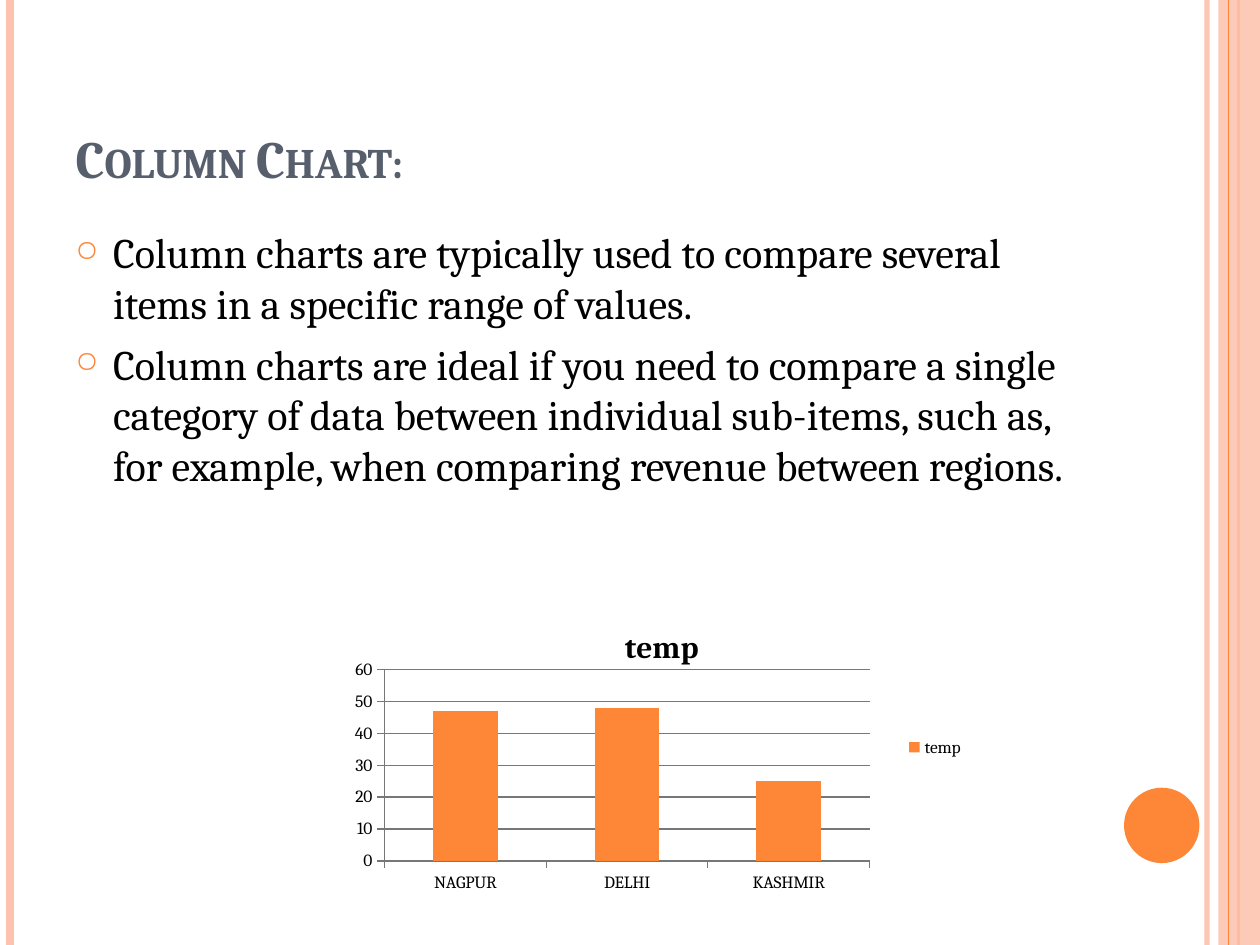
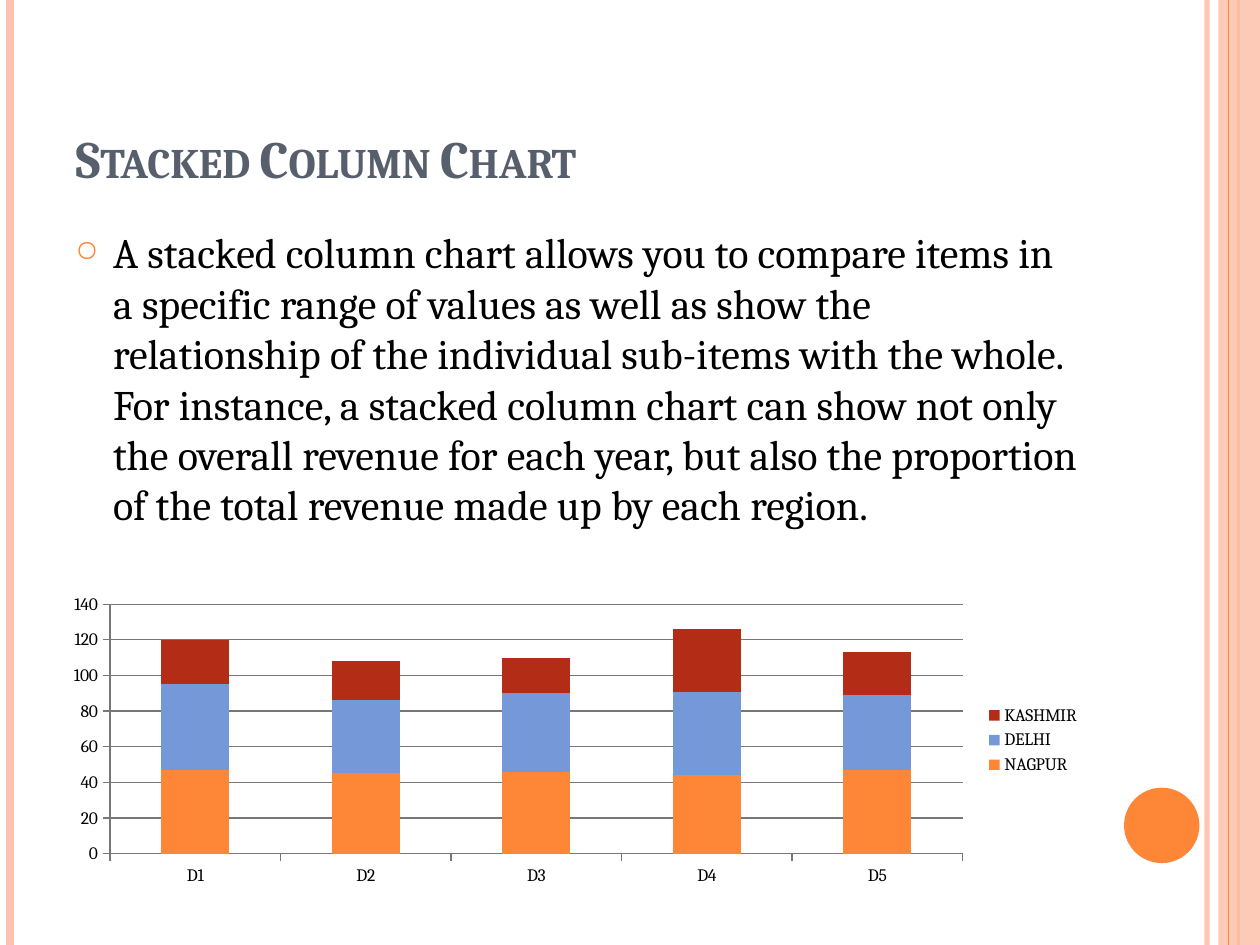
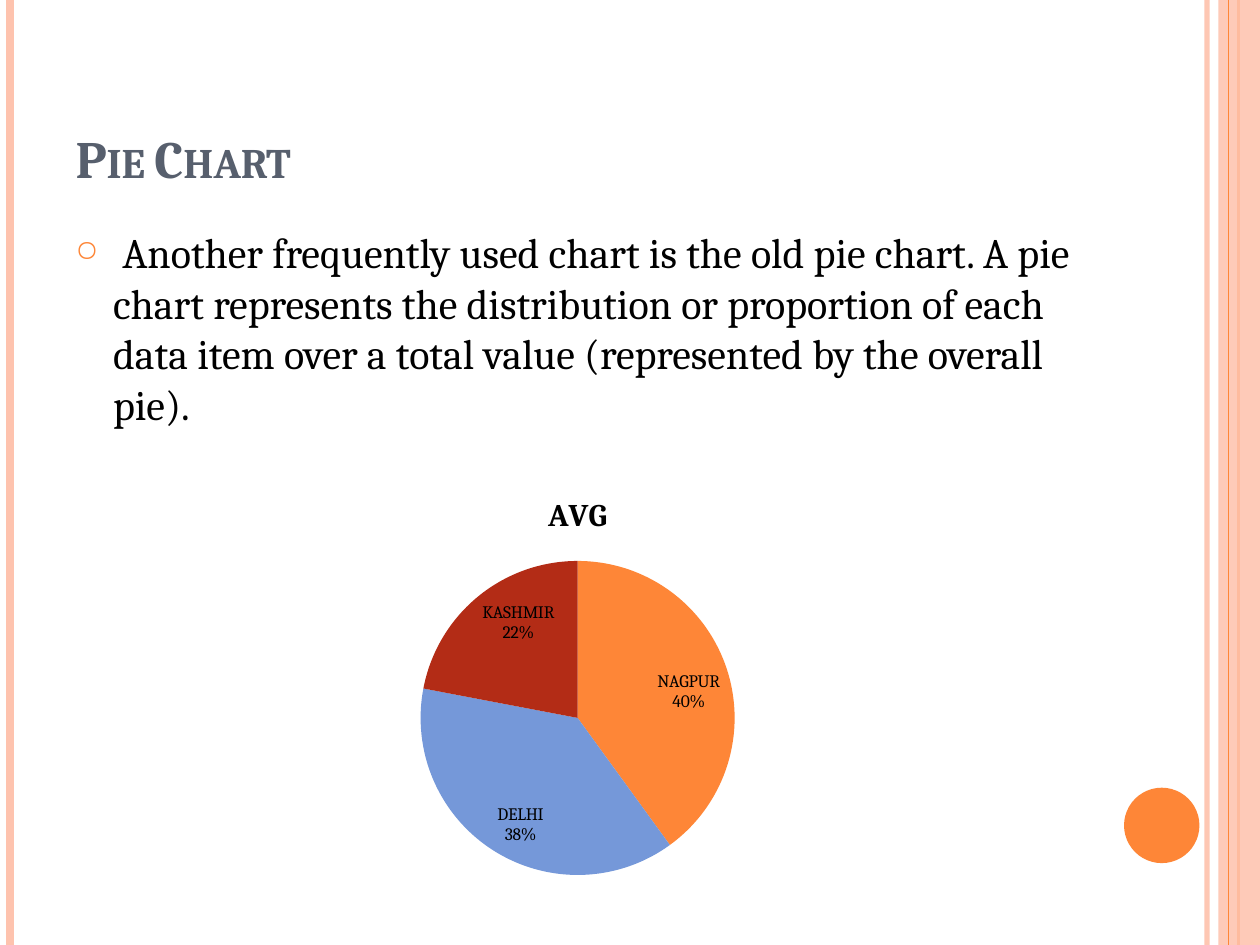
from dataclasses import dataclass
from typing import NamedTuple, Optional

from pptx import Presentation
from pptx.chart.data import CategoryChartData
from pptx.dml.color import RGBColor
from pptx.enum.chart import XL_CHART_TYPE as Kind
from pptx.enum.chart import XL_LABEL_POSITION as LabelPos
from pptx.enum.chart import XL_LEGEND_POSITION as LegendPos
from pptx.enum.chart import XL_TICK_MARK as Tick
from pptx.enum.shapes import MSO_CONNECTOR as Conn
from pptx.enum.shapes import MSO_SHAPE as Geo
from pptx.enum.text import MSO_ANCHOR as Anchor
from pptx.enum.text import MSO_AUTO_SIZE as Fit
from pptx.enum.text import PP_ALIGN as Align
from pptx.oxml.ns import qn
from pptx.oxml.xmlchemy import OxmlElement
from pptx.util import Cm, Pt


@dataclass(frozen=True)
class Theme:
    font: str = "Cambria"
    ink: str = "000000"
    heading: str = "575F6D"
    peach: str = "FEC3AE"
    orange: str = "FE8637"
    blue: str = "7598D9"
    red: str = "B32C16"
    grid: str = "777777"
    title_size: float = 30
    body_size: float = 24
    chart_title_size: float = 18
    chart_size: float = 10

    @property
    def series(self) -> tuple[str, ...]:
        return self.orange, self.blue, self.red


THEME = Theme()
WIDTH, HEIGHT = 25.4, 19.05


class Box(NamedTuple):
    """Left, top, width and height in centimetres."""
    x: float
    y: float
    w: float
    h: float

    def lengths(self) -> list[Cm]:
        return [Cm(v) for v in self]


class Stripe(NamedTuple):
    x: float
    weight: float
    color: str
    opacity: int = 100


class Solid(NamedTuple):
    geo: Geo
    box: Box
    color: str
    opacity: int = 100


@dataclass(frozen=True)
class ChartSpec:
    kind: Kind
    box: Box
    cats: list[str]
    series: dict[str, list[float]]
    title: Optional[str] = None
    plot: Optional[Box] = None  # inner plot area as fractions of the chart


@dataclass(frozen=True)
class Page:
    title: str
    bullets: list[str]
    chart: ChartSpec


TITLE_BOX = Box(1.27, 0.76, 20.75, 3.18)
BODY_BOX = Box(1.27, 4.45, 20.75, 13.54)

DECOR = [
    Stripe(24.33, 3, THEME.peach, 93),
    Stripe(0.2, 4.5, THEME.peach),
    Stripe(24.97, 1.5, THEME.orange),
    Solid(Geo.RECTANGLE, Box(24.56, 0, 0.84, HEIGHT), THEME.peach, 87),
    Stripe(24.77, 0.75, THEME.orange),
    Solid(Geo.OVAL, Box(22.66, 15.88, 1.52, 1.52), THEME.orange),
]

CITIES = ["NAGPUR", "DELHI", "KASHMIR"]

PAGES = [
    Page(
        "Column Chart:",
        ["Column charts are typically used to compare several items in a "
         "specific range of values.",
         "Column charts are ideal if you need to compare a single category of "
         "data between individual sub-items, such as, for example, when "
         "comparing revenue between regions."],
        ChartSpec(Kind.COLUMN_CLUSTERED, Box(6.99, 12.27, 12.7, 5.72), CITIES,
                  {"temp": [47, 48, 25]}, "temp", Box(0.06, 0.22, 0.77, 0.69)),
    ),
    Page(
        "Stacked Column Chart",
        ["A stacked column chart allows you to compare items in a specific "
         "range of values as well as show the relationship of the individual "
         "sub-items with the whole. For instance, a stacked column chart can "
         "show not only the overall revenue for each year, but also the "
         "proportion of the total revenue made up by each region."],
        ChartSpec(Kind.COLUMN_STACKED, Box(1.07, 11.86, 20.96, 6.12),
                  ["D1", "D2", "D3", "D4", "D5"],
                  dict(zip(CITIES, ([47, 45, 46, 44, 47],
                                    [48, 41, 44, 47, 42],
                                    [25, 22, 20, 35, 24])))),
    ),
    Page(
        "Pie Chart",
        [" Another frequently used chart is the old pie chart. A pie chart "
         "represents the distribution or proportion of each data item over a "
         "total value (represented by the overall pie)."],
        ChartSpec(Kind.PIE, Box(1.27, 9.53, 20.75, 8.46), CITIES,
                  {"AVG": [40, 38, 22]}, "AVG"),
    ),
]


def rgb(color: str) -> RGBColor:
    return RGBColor.from_string(color)


def add_xml(parent, tag: str, **attrs):
    el = OxmlElement(tag)
    for name, value in attrs.items():
        el.set(name, str(value))
    parent.append(el)
    return el


def write(p, text: str, *, size: float, color: str = THEME.ink,
          bold: bool = False, small_caps: bool = False) -> None:
    r = p.add_run()
    r.text = text
    r.font.name, r.font.size, r.font.bold = THEME.font, Pt(size), bold
    r.font.color.rgb = rgb(color)
    if small_caps:
        r.font._element.set("cap", "small")


def set_opacity(sp, percent: int) -> None:
    if percent < 100:
        for clr in sp._element.spPr.iter(qn("a:srgbClr")):
            add_xml(clr, "a:alpha", val=percent * 1000)


def add_stripe(slide, stripe: Stripe):
    x = Cm(stripe.x)
    line = slide.shapes.add_connector(Conn.STRAIGHT, x, 0, x, Cm(HEIGHT))
    line.line.width = Pt(stripe.weight)
    line.line.color.rgb = rgb(stripe.color)
    add_xml(line._element.spPr, "a:effectLst")
    return line


def add_solid(slide, solid: Solid):
    sp = slide.shapes.add_shape(solid.geo, *solid.box.lengths())
    sp.shadow.inherit = False
    sp.fill.solid()
    sp.fill.fore_color.rgb = rgb(solid.color)
    sp.line.fill.background()
    return sp


def decorate_layout(layout, slide) -> None:
    """Draw the shared bands on a slide and move them to its layout."""
    for ph in list(layout.placeholders):
        if ph.placeholder_format.idx >= 10:  # date, footer, slide number
            ph._element.getparent().remove(ph._element)
    for item in DECOR:
        draw = add_stripe if isinstance(item, Stripe) else add_solid
        sp = draw(slide, item)
        set_opacity(sp, item.opacity)
        layout.shapes._spTree.append(sp._element)


def set_title(slide, text: str) -> None:
    sp = slide.shapes.title
    sp.left, sp.top, sp.width, sp.height = TITLE_BOX.lengths()
    tf = sp.text_frame
    tf.auto_size, tf.vertical_anchor = Fit.NONE, Anchor.BOTTOM
    p = tf.paragraphs[0]
    p.alignment = Align.LEFT
    write(p, text, size=THEME.title_size, color=THEME.heading, bold=True,
          small_caps=True)


def set_bullet(p) -> None:
    pPr = p._p.get_or_add_pPr()
    pPr.set("marL", str(Cm(0.76)))
    pPr.set("indent", str(-Cm(0.76)))
    add_xml(add_xml(pPr, "a:buClr"), "a:srgbClr", val=THEME.orange)
    add_xml(pPr, "a:buSzPct", val=70000)
    add_xml(pPr, "a:buChar", char="○")


def add_bullets(slide, bullets: list[str]) -> None:
    tf = slide.shapes.add_textbox(*BODY_BOX.lengths()).text_frame
    tf.word_wrap = True
    for i, text in enumerate(bullets):
        p = tf.add_paragraph() if i else tf.paragraphs[0]
        p.space_before = Pt(6)
        set_bullet(p)
        write(p, text, size=THEME.body_size)


def set_plot_area(chart, plot: Box) -> None:
    area = chart._chartSpace.chart.plotArea
    for old in area.findall(qn("c:layout")):
        area.remove(old)
    layout = OxmlElement("c:layout")
    area.insert(0, layout)
    manual = add_xml(layout, "c:manualLayout")
    add_xml(manual, "c:layoutTarget", val="inner")
    for axis in "xy":
        add_xml(manual, f"c:{axis}Mode", val="edge")
    for name, value in plot._asdict().items():
        add_xml(manual, f"c:{name}", val=value)


def style_line(fmt) -> None:
    fmt.line.color.rgb = rgb(THEME.grid)
    fmt.line.width = Pt(0.75)


def style_columns(chart) -> None:
    plot = chart.plots[0]
    plot.vary_by_categories = False
    plot.gap_width = 150
    for axis in (chart.category_axis, chart.value_axis):
        axis.major_tick_mark = Tick.OUTSIDE
        style_line(axis.format)
    chart.value_axis.has_major_gridlines = True
    style_line(chart.value_axis.major_gridlines.format)
    chart.has_legend = True
    chart.legend.position = LegendPos.RIGHT
    chart.legend.include_in_layout = False


def style_pie(chart) -> None:
    plot = chart.plots[0]
    plot.vary_by_categories = True
    plot.has_data_labels = True
    labels = plot.data_labels
    labels.show_value = False
    labels.show_category_name = labels.show_percentage = True
    labels.position = LabelPos.INSIDE_END
    chart.has_legend = False


def add_data_chart(slide, spec: ChartSpec) -> None:
    data = CategoryChartData()
    data.categories = spec.cats
    for name, values in spec.series.items():
        data.add_series(name, values)
    chart = slide.shapes.add_chart(spec.kind, *spec.box.lengths(), data).chart
    chart.font.name, chart.font.size = THEME.font, Pt(THEME.chart_size)
    chart.font.color.rgb = rgb(THEME.ink)

    chart.has_title = spec.title is not None
    if spec.title:
        write(chart.chart_title.text_frame.paragraphs[0], spec.title,
              size=THEME.chart_title_size, bold=True)

    series = list(chart.plots[0].series)
    if spec.kind == Kind.PIE:
        style_pie(chart)
        parts = [series[0].points[i] for i in range(len(spec.cats))]
    else:
        style_columns(chart)
        parts = series
    for part, color in zip(parts, THEME.series):
        part.format.fill.solid()
        part.format.fill.fore_color.rgb = rgb(color)
    if spec.plot:
        set_plot_area(chart, spec.plot)


def main() -> None:
    prs = Presentation()
    prs.slide_width, prs.slide_height = Cm(WIDTH), Cm(HEIGHT)
    layout = prs.slide_layouts.get_by_name("Title Only")
    for i, page in enumerate(PAGES):
        slide = prs.slides.add_slide(layout)
        if i == 0:
            decorate_layout(layout, slide)
        set_title(slide, page.title)
        add_bullets(slide, page.bullets)
        add_data_chart(slide, page.chart)
    prs.save("out.pptx")


if __name__ == "__main__":
    main()
